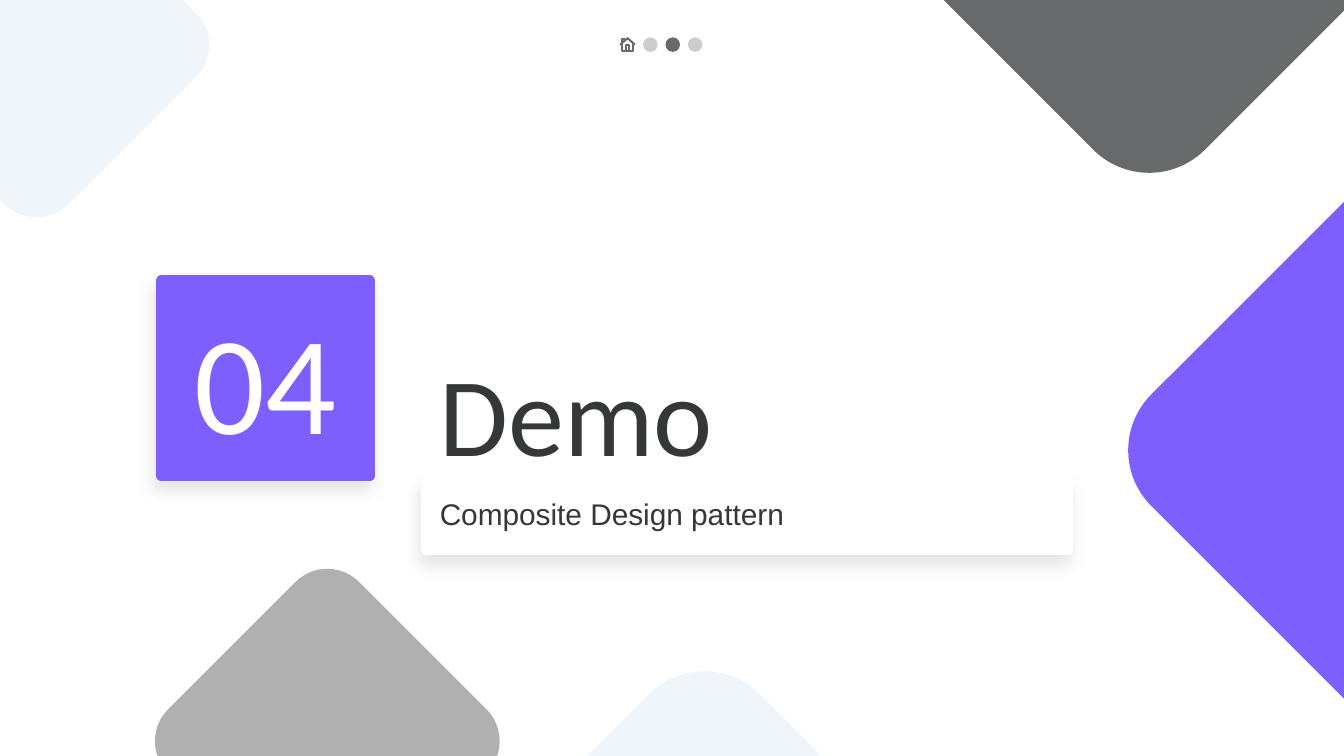
import pptx
import pptx.util
import pptx.dml.color
import pptx.enum.shapes
import pptx.enum.text
import pptx.oxml.ns
import lxml.etree

Pt = pptx.util.Pt
Shape = pptx.enum.shapes.MSO_SHAPE
Align = pptx.enum.text.PP_ALIGN
Anchor = pptx.enum.text.MSO_ANCHOR
qn = pptx.oxml.ns.qn

PURPLE, DARK, GREY, PALE = "7D5FFE", "67696B", "B0B0B0", "F0F5FA"
WHITE, INK = "FFFFFF", "353738"


def paint(color_format, color):
    color_format.rgb = pptx.dml.color.RGBColor.from_string(color)


def set_alpha(color_element, percent):
    lxml.etree.SubElement(color_element, qn("a:alpha"), val=str(percent * 1000))


def fill_shape(shape, color, alpha=None):
    shape.fill.solid()
    paint(shape.fill.fore_color, color)
    if alpha:
        set_alpha(shape.fill._xPr.find(qn("a:solidFill"))[0], alpha)


def add_preset(slide, kind, left, top, width, height, color, alpha=None):
    shape = slide.shapes.add_shape(kind, Pt(left), Pt(top), Pt(width), Pt(height))
    shape.shadow.inherit = False
    shape.line.fill.background()
    fill_shape(shape, color, alpha)
    return shape


def add_diamond(slide, left, top, side, color):
    diamond = add_preset(slide, Shape.ROUNDED_RECTANGLE, left, top, side, side, color)
    diamond.rotation = 315


def make_card(shape, color):
    fill_shape(shape, color)
    paint(shape.line.color, color)
    shape.line.width = Pt(6)
    lxml.etree.SubElement(shape.line._get_or_add_ln(), qn("a:round"))
    shape.shadow.inherit = False
    effects = shape._element.spPr.find(qn("a:effectLst"))
    shadow = lxml.etree.SubElement(
        effects, qn("a:outerShdw"), blurRad=str(Pt(7.9)), dist=str(Pt(5.2)),
        dir=str(110 * 60000), algn="bl", rotWithShape="0")
    set_alpha(lxml.etree.SubElement(shadow, qn("a:srgbClr"), val=GREY), 30)


def place(shape, left, top, width, height):
    shape.left, shape.top = Pt(left), Pt(top)
    shape.width, shape.height = Pt(width), Pt(height)


def write(shape, text, font="Calibri", size=16, color=INK,
          align=Align.LEFT, anchor=Anchor.TOP):
    frame = shape.text_frame
    frame.text = text
    frame.word_wrap = True
    frame.auto_size = pptx.enum.text.MSO_AUTO_SIZE.NONE
    frame.vertical_anchor = anchor
    frame.margin_left = frame.margin_right = Pt(7.2)
    frame.margin_top = frame.margin_bottom = Pt(7.2)
    paragraph = frame.paragraphs[0]
    paragraph.alignment = align
    paragraph.space_before = Pt(0)
    style = paragraph.runs[0].font
    style.name, style.size = font, Pt(size)
    paint(style.color, color)


def add_home_icon(slide):
    roof = [(332.2, 24), (336.2, 20.5), (340.2, 24)]
    walls = [(333.1, 23.6), (333.1, 27.2), (339.3, 27.2), (339.3, 23.6)]
    door = [(335.3, 27.2), (335.3, 24.3), (337.1, 24.3), (337.1, 27.2)]
    chimney = [(333.3, 22.5), (333.3, 20.9), (334.9, 20.9)]
    strokes = [[(Pt(x), Pt(y)) for x, y in stroke]
               for stroke in (roof, walls, door, chimney)]
    builder = slide.shapes.build_freeform(*strokes[0][0])
    builder.add_line_segments(strokes[0][1:], close=False)
    for stroke in strokes[1:]:
        builder.move_to(*stroke[0])
        builder.add_line_segments(stroke[1:], close=False)
    home = builder.convert_to_shape()
    home.shadow.inherit = False
    home.fill.background()
    paint(home.line.color, DARK)
    home.line.width = Pt(1.1)


def add_navigation(slide):
    for index, (color, alpha) in enumerate([(GREY, 64), (DARK, None), (GREY, 64)]):
        add_preset(slide, Shape.OVAL, 344.5 + 12 * index, 20, 7.8, 7.8, color, alpha)
    add_home_icon(slide)


def main():
    deck = pptx.Presentation()
    deck.slide_width, deck.slide_height = Pt(720), Pt(405)
    slide = deck.slides.add_slide(deck.slide_layouts[0])
    title, subtitle = slide.placeholders

    for left, top, side, color in [
            (250.6, 394.6, 253.4, PALE), (639.4, 114.5, 253.4, PURPLE),
            (488.9, -195.8, 253.4, DARK), (103, 324.7, 144.7, GREY),
            (-52.6, -48.2, 144.7, PALE)]:
        add_diamond(slide, left, top, side, color)

    number = add_preset(slide, Shape.RECTANGLE, 86.4, 150.5, 111.6, 104.4, PURPLE)
    make_card(number, PURPLE)
    write(number, "04", size=75, color=WHITE, align=Align.CENTER, anchor=Anchor.MIDDLE)

    place(subtitle, 228.4, 258.5, 343.4, 36)
    make_card(subtitle, WHITE)
    write(subtitle, "Composite Design pattern", font="Arial")

    place(title, 228.4, 110.2, 405.4, 153.4)
    write(title, "Demo", size=60, anchor=Anchor.BOTTOM)
    for placeholder in (subtitle, title):
        slide.shapes._spTree.append(placeholder._element)

    add_navigation(slide)
    deck.save("out.pptx")


main()
